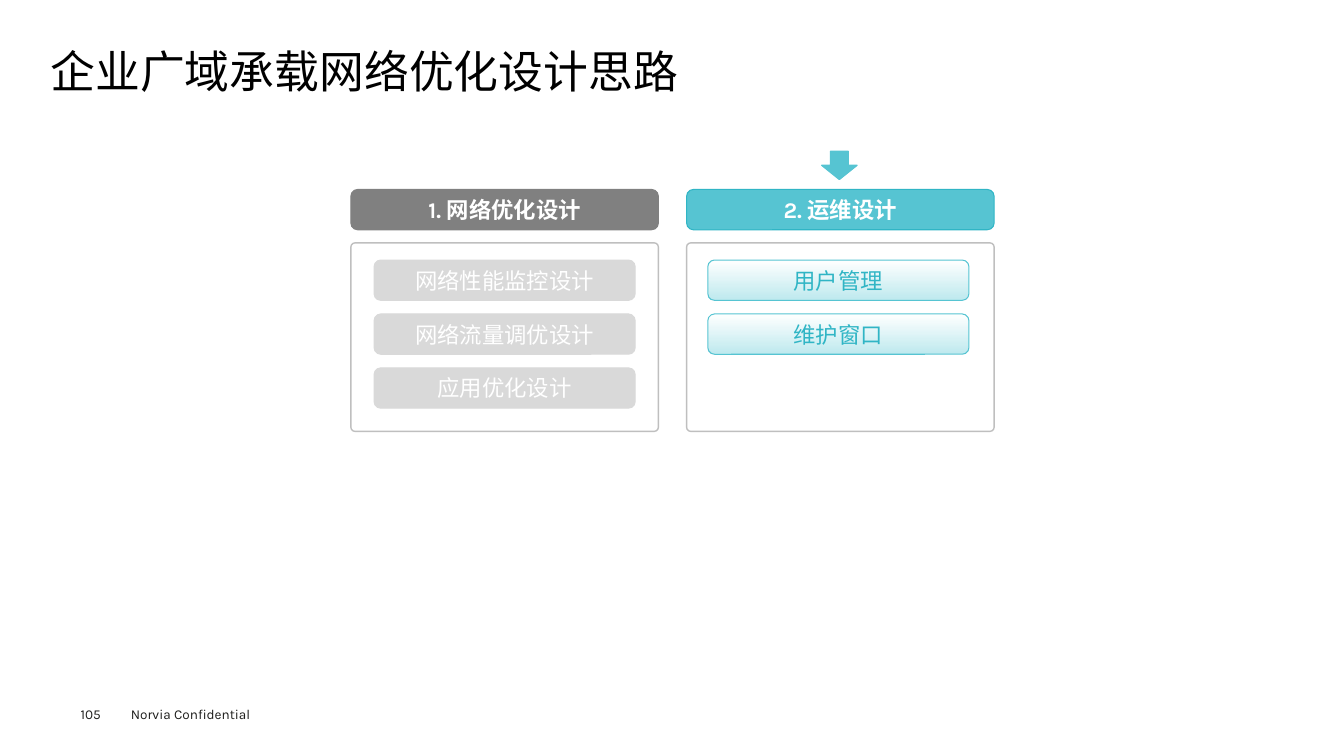
"""Build the slide on WAN bearer network optimization design."""
from pptx import Presentation
from pptx.dml.color import RGBColor
from pptx.enum.shapes import MSO_SHAPE
from pptx.enum.text import MSO_ANCHOR, MSO_AUTO_SIZE, PP_ALIGN
from pptx.util import Inches, Pt

ROUND, ARROW = MSO_SHAPE.ROUNDED_RECTANGLE, MSO_SHAPE.DOWN_ARROW
TOP, MIDDLE = MSO_ANCHOR.TOP, MSO_ANCHOR.MIDDLE
LEFT, CENTER = PP_ALIGN.LEFT, PP_ALIGN.CENTER
NO_FIT = MSO_AUTO_SIZE.NONE

FONT = "Karla"
COLORS = {
    "black": "000000", "ink": "1D1D1B", "white": "FFFFFF",
    "gray": "808080", "pale": "D9D9D9", "frame": "BFBFBF",
    "teal": "56C4D2", "deep": "30B5C5", "mist": "BEE9EE",
}
TITLE = "企业广域承载网络优化设计思路"
FOOTER = [
    ("Norvia Confidential", (1.2, 6.95, 1.6, 0.27), (0.1, 0.05)),
    ("105", (0.8, 7, 0.55, 0.16), (0, 0)),
]
GROUPS = [
    {"left": 3.48, "inset": 0.23, "head": "1. 网络优化设计",
     "head_look": (["gray"], "gray", "white"),
     "items": ["网络性能监控设计", "网络流量调优设计", "应用优化设计"],
     "item_look": (["pale"], "pale", "white")},
    {"left": 6.81, "inset": 0.21, "head": "2. 运维设计",
     "head_look": (["teal"], "deep", "white"),
     "items": ["用户管理", "维护窗口"],
     "item_look": (["white", "mist"], "teal", "deep")},
]
WIDTH, BAR = 3.05, 0.4
HEAD_TOP, FRAME_TOP, FRAME_H = 1.88, 2.41, 1.87
ITEM_TOP, ITEM_W, STEP = 2.58, 2.59, 0.535


def color(name):
    return RGBColor.from_string(COLORS[name])


def write(frame, text, size, tint, align=LEFT, bold=False):
    para = frame.paragraphs[0]
    para.alignment = align
    run = para.add_run()
    run.text = text
    font = run.font
    font.name, font.size, font.bold = FONT, Pt(size), bold
    font.color.rgb = color(tint)
    return para


def pad(frame, side, edge):
    frame.margin_left = frame.margin_right = Inches(side)
    frame.margin_top = frame.margin_bottom = Inches(edge)


def draw(slide, kind, box, fills, line, weight=0.75):
    shape = slide.shapes.add_shape(kind, *map(Inches, box))
    shape.shadow.inherit = False
    if len(fills) == 2:
        shape.fill.gradient()
        shape.fill.gradient_angle = 270
        for stop, name in zip(shape.fill.gradient_stops, fills):
            stop.color.rgb = color(name)
    elif fills:
        shape.fill.solid()
        shape.fill.fore_color.rgb = color(fills[0])
    else:
        shape.fill.background()
    shape.line.color.rgb = color(line)
    shape.line.width = Pt(weight)
    return shape


def label(slide, box, text, look, bold=False):
    fills, line, tint = look
    frame = draw(slide, ROUND, box, fills, line).text_frame
    frame.word_wrap = True
    frame.vertical_anchor = MIDDLE
    write(frame, text, 16, tint, CENTER, bold)


def group(slide, data):
    left = data["left"]
    label(slide, (left, HEAD_TOP, WIDTH, BAR), data["head"],
          data["head_look"], True)
    frame = draw(slide, ROUND, (left, FRAME_TOP, WIDTH, FRAME_H),
                 [], "frame", 1)
    frame.adjustments[0] = 0.022
    for row, text in enumerate(data["items"]):
        box = (left + data["inset"], ITEM_TOP + row * STEP, ITEM_W, BAR)
        label(slide, box, text, data["item_look"])


def main():
    deck = Presentation()
    deck.slide_width, deck.slide_height = Inches(13.33), Inches(7.5)
    slide = deck.slides.add_slide(deck.slide_layouts[5])

    title = slide.shapes.title
    title.left, title.top = Inches(0.5), Inches(0.49)
    title.width, title.height = Inches(12.35), Inches(0.53)
    frame = title.text_frame
    frame.auto_size, frame.vertical_anchor = NO_FIT, TOP
    pad(frame, 0, 0)
    write(frame, TITLE, 32, "black").line_spacing = 0.9

    for text, box, gaps in FOOTER:
        frame = slide.shapes.add_textbox(*map(Inches, box)).text_frame
        frame.word_wrap = True
        pad(frame, *gaps)
        write(frame, text, 9.7, "ink")

    for data in GROUPS:
        group(slide, data)
    draw(slide, ARROW, (8.15, 1.5, 0.35, 0.28), ["teal"], "teal", 1)
    deck.save("out.pptx")


if __name__ == "__main__":
    main()
